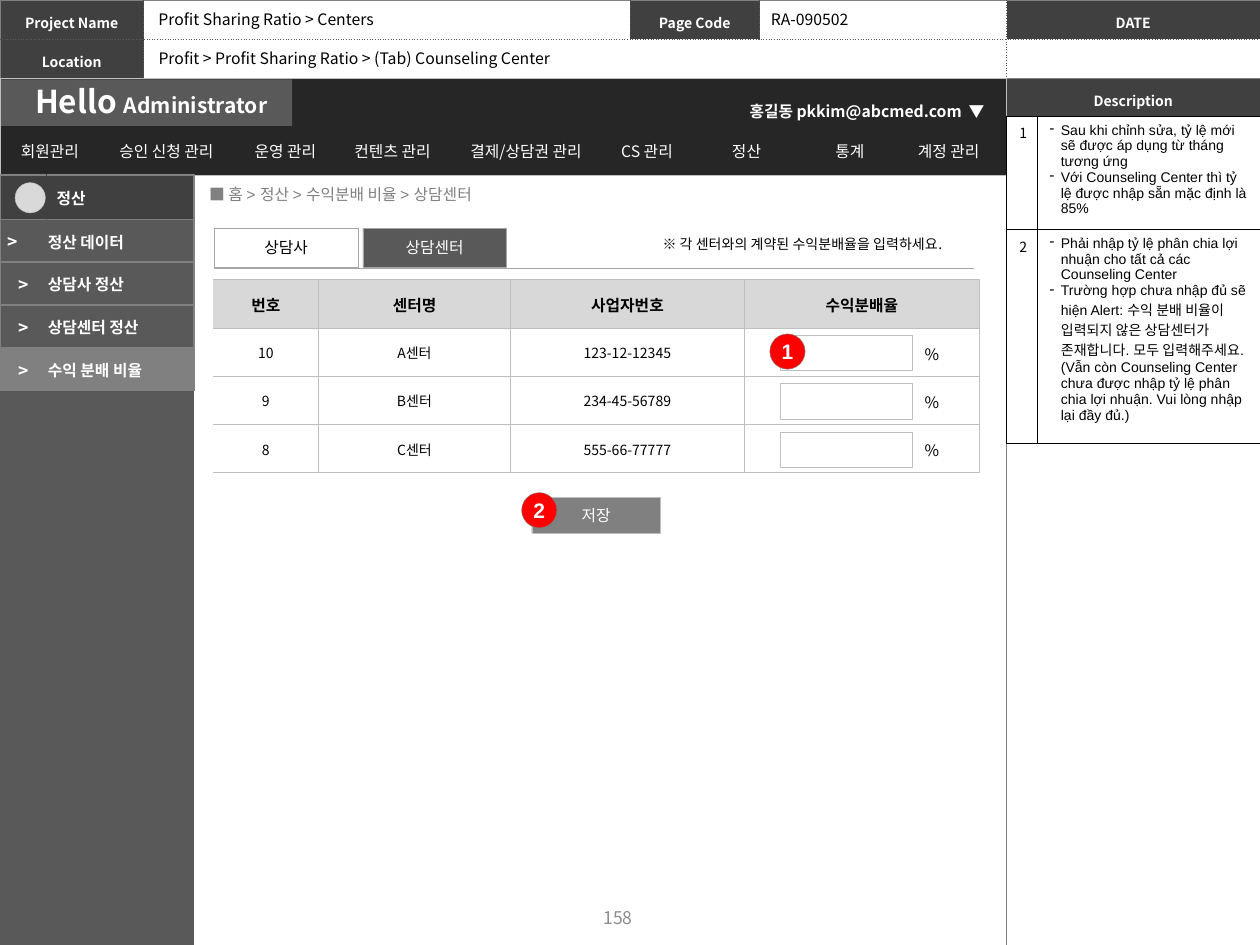
"""Builds a wireframe slide for the profit sharing ratio page of counseling centers."""
import pptx
import pptx.util
import pptx.dml.color
import pptx.enum.shapes
import pptx.enum.text
import pptx.oxml
import pptx.oxml.ns
from lxml import etree

COLORS = dict(white="FFFFFF", black="000000", ink="262626", dark="404040", slate="595959",
              gray="808080", page="8C8C8C", edge="A6A6A6", rule="BFBFBF", head="D8D8D8",
              dot="D9D9D9", red="FF0000")
KOREAN, LATIN = "Noto Sans CJK KR", "Arial"
WIDTH, HEIGHT = 10, 7.5
COLUMNS = 1000
SPLIT, SIDEBAR = 799, 154

HEADER = [["Project Name", "", "Page Code", "", "DATE"], ["Location", "", "", "", ""]]
HEADER_COLUMNS = [114, 386, 103, 196, 201]
HEADER_VALUES = [("Profit Sharing Ratio > Centers", 116, 3, 193),
                 ("RA-090502", 602, 3, 83),
                 ("Profit > Profit Sharing Ratio > (Tab) Counseling Center", 116, 34, 339)]
MENU = ["회원관리", "승인 신청 관리", "운영 관리", "컨텐츠 관리", "결제/상담권 관리",
        "CS 관리", "정산", "통계", "계정 관리"]
MENU_COLUMNS = [75, 110, 79, 91, 121, 71, 87, 77, 80]
SIDE_MENU = [["", "정산"], [">", "정산 데이터"], [">", "상담사 정산"],
             [">", "상담센터 정산"], [">", "수익 분배 비율"]]
TABS = [("상담사", "white", "black"), ("상담센터", "slate", "white")]
CENTERS = [["번호", "센터명", "사업자번호", "수익분배율"],
           ["10", "A센터", "123-12-12345", ""],
           ["9", "B센터", "234-45-56789", ""],
           ["8", "C센터", "555-66-77777", ""]]
CENTER_COLUMNS = [84, 152, 186, 186]
CENTER_TOP, CENTER_ROW = 222, 38.25
NOTES = [["1", ["Sau khi chỉnh sửa, tỷ lệ mới sẽ được áp dụng từ tháng tương ứng",
                "Với Counseling Center thì tỷ lệ được nhập sẵn mặc định là 85%"]],
         ["2", ["Phải nhập tỷ lệ phân chia lợi nhuận cho tất cả các Counseling Center",
                "Trường hợp chưa nhập đủ sẽ hiện Alert: 수익 분배 비율이 입력되지 않은 상담센터가 "
                "존재합니다. 모두 입력해주세요. (Vẫn còn Counseling Center chưa được nhập tỷ lệ "
                "phân chia lợi nhuận. Vui lòng nhập lại đầy đủ.)"]]]
BADGES = [("1", 611, 265), ("2", 414, 391)]

ALIGN = pptx.enum.text.PP_ALIGN
ANCHOR = pptx.enum.text.MSO_ANCHOR
SHAPE = pptx.enum.shapes.MSO_SHAPE
Pt = pptx.util.Pt
qn = pptx.oxml.ns.qn


def grid(*cells):
    return [pptx.util.Inches(round(cell * WIDTH / COLUMNS, 4)) for cell in cells]


def rgb(name):
    return pptx.dml.color.RGBColor.from_string(COLORS[name])


def write(frame, text, size=9, color="black", font=KOREAN, bold=False, align=ALIGN.LEFT,
          spacing=None, bullet=None):
    """Fills a frame with paragraphs; a paragraph is a string or (text, size) runs."""
    for index, content in enumerate(text if isinstance(text, list) else [text]):
        paragraph = frame.paragraphs[0] if index == 0 else frame.add_paragraph()
        paragraph.alignment = align
        if spacing:
            paragraph.line_spacing = spacing
        if bullet:
            properties = paragraph._p.get_or_add_pPr()
            indent = grid(9)[0]
            properties.set("marL", str(indent))
            properties.set("indent", str(-indent))
            etree.SubElement(properties, qn("a:buChar")).set("char", bullet)
        if not content:
            etree.SubElement(paragraph._p, qn("a:endParaRPr")).set("sz", str(size * 100))
            continue
        for words, run_size in [(content, size)] if isinstance(content, str) else content:
            run = paragraph.add_run()
            run.text = words
            run.font.size, run.font.bold, run.font.name = Pt(run_size), bold, font
            run.font.color.rgb = rgb(color)
            etree.SubElement(run._r.get_or_add_rPr(), qn("a:ea")).set("typeface", KOREAN)


def add_label(slide, text, box, anchor=ANCHOR.TOP, wrap=False, grow=True, indent=10, **style):
    frame = slide.shapes.add_textbox(*grid(*box)).text_frame
    frame.word_wrap, frame.vertical_anchor = wrap, anchor
    frame.margin_left = grid(indent)[0]
    if grow:
        frame.auto_size = pptx.enum.text.MSO_AUTO_SIZE.SHAPE_TO_FIT_TEXT
    write(frame, text, **style)


def add_block(slide, box, fill, line=None, text="", kind=SHAPE.RECTANGLE, **style):
    block = slide.shapes.add_shape(kind, *grid(*box))
    block.shadow.inherit = False
    block.fill.solid()
    block.fill.fore_color.rgb = rgb(fill)
    if line:
        block.line.color.rgb, block.line.width = rgb(line), Pt(0.25)
    else:
        block.line.fill.background()
    if text:
        block.text_frame.word_wrap = False
        block.text_frame.vertical_anchor = ANCHOR.MIDDLE
        write(block.text_frame, text, align=ALIGN.CENTER, **style)


def set_border(cell, edges):
    """Draws the left, right, top and bottom edges as (color, width, dash) or None."""
    for index, (side, edge) in enumerate(zip("LRTB", edges)):
        line = etree.Element(qn("a:ln" + side))
        if edge:
            color, width, dash = edge
            line.set("w", str(Pt(width)))
            fill = etree.SubElement(line, qn("a:solidFill"))
            etree.SubElement(fill, qn("a:srgbClr")).set("val", COLORS[color])
            etree.SubElement(line, qn("a:prstDash")).set("val", dash)
        else:
            etree.SubElement(line, qn("a:noFill"))
        cell._tc.get_or_add_tcPr().insert(index, line)


def add_grid(slide, left, top, columns, heights, rows, look, margins=(10, 10, 5, 5)):
    """Adds a table; look(row, column) gives fill, edges, anchor and text style."""
    table = slide.shapes.add_table(len(rows), len(columns), *grid(
        left, top, sum(columns), sum(heights))).table
    table.first_row = table.horz_banding = False
    for column, width in zip(table.columns, grid(*columns)):
        column.width = width
    for row, height in zip(table.rows, grid(*heights)):
        row.height = height
    for r, texts in enumerate(rows):
        for c, text in enumerate(texts):
            cell = table.cell(r, c)
            fill, edges, anchor, style = look(r, c)
            (cell.margin_left, cell.margin_right,
             cell.margin_top, cell.margin_bottom) = grid(*margins)
            cell.vertical_anchor = anchor
            if fill:
                cell.fill.solid()
                cell.fill.fore_color.rgb = rgb(fill)
            else:
                cell.fill.background()
            set_border(cell, edges)
            write(cell.text_frame, text, **style)
    return table


HEADING = dict(size=8, color="white", bold=True, align=ALIGN.CENTER, spacing=1.3)
SOLID, DOTTED = ("gray", 0.5, "solid"), ("slate", 0.5, "sysDot")


def header_look(r, c):
    edges = [SOLID if outer else DOTTED for outer in (c == 0, c == 4, r == 0, r == 1)]
    return "dark" if HEADER[r][c] else None, edges, ANCHOR.MIDDLE, HEADING


def description_look(r, c):
    edges = [SOLID, SOLID, DOTTED if r else SOLID, SOLID if r else DOTTED]
    return None if r else "dark", edges, ANCHOR.MIDDLE, HEADING


def menu_look(r, c):
    return None, [("ink", 1, "solid")] * 4, ANCHOR.MIDDLE, dict(color="white", align=ALIGN.CENTER)


def center_look(r, c):
    edge = ("rule", 0.5, "solid")
    style = dict(size=8 if r else 9, bold=r == 0, align=ALIGN.CENTER)
    return "white" if r else "head", [edge if c else None] + [edge] * 3, ANCHOR.MIDDLE, style


def side_look(r, c):
    fill = "dark" if r == 0 else "gray" if r == len(SIDE_MENU) - 1 else "slate"
    edge, seam = ("gray", 1, "solid"), (fill, 1, "solid")
    style = dict(size=9 if c else 10, color="white", bold=True,
                 align=ALIGN.LEFT if c else ALIGN.CENTER)
    return fill, [seam if c else edge, edge if c else seam, edge, edge], ANCHOR.MIDDLE, style


def note_look(r, c):
    style = dict(size=8, font=LATIN, bullet="-") if c else dict(size=8)
    return "white", [("black", 0.5, "solid")] * 4, ANCHOR.TOP, style


def main():
    deck = pptx.Presentation()
    deck.slide_width, deck.slide_height = pptx.util.Inches(WIDTH), pptx.util.Inches(HEIGHT)
    slide = deck.slides.add_slide(deck.slide_layouts[6])

    header = add_grid(slide, 0, 0, HEADER_COLUMNS, [31, 31], HEADER, header_look, (4, 4, 4, 4))
    header.cell(1, 1).merge(header.cell(1, 3))
    add_grid(slide, SPLIT, 62, [201], [31, 657], [["Description"], [""]], description_look,
             (8, 8, 4, 4))
    add_block(slide, (0, 62, SPLIT, 77), "ink", "rule")
    add_block(slide, (1, 63, 231, 37), "slate")
    add_label(slide, [[("Hello ", 18), ("Administrator", 12)]], (18, 60, 209, 40),
              color="white", bold=True)
    add_grid(slide, 2, 104, MENU_COLUMNS, [31], [MENU], menu_look)
    account = dict(color="white", bold=True, spacing=1.2)
    add_label(slide, "홍길동 pkkim@abcmed.com", (582, 73, 194, 26), wrap=True,
              align=ALIGN.CENTER, **account)
    add_label(slide, "▼", (759, 73, 33, 26), **account)

    add_label(slide, "■ 홈 > 정산 > 수익분배 비율 > 상담센터", (146, 137, 622, 34), ANCHOR.MIDDLE,
              wrap=True, grow=False, indent=20, font=LATIN, color="gray")
    for index, (name, fill, color) in enumerate(TABS):
        add_block(slide, (170 + index * 118, 181, 114, 31), fill, "edge", name, color=color)
    left, right, level = grid(170, 773, 213)
    underline = slide.shapes.add_connector(
        pptx.enum.shapes.MSO_CONNECTOR.STRAIGHT, left, level, right, level)
    underline.line.color.rgb, underline.line.width = rgb("edge"), Pt(0.75)
    etree.SubElement(underline._element.spPr, qn("a:effectLst"))

    add_grid(slide, 169, CENTER_TOP, CENTER_COLUMNS, [CENTER_ROW] * len(CENTERS), CENTERS,
             center_look, (1, 1, 1, 0))
    for row in range(1, len(CENTERS)):
        top = CENTER_TOP + row * CENTER_ROW
        add_block(slide, (619, top + 6, 105, 28), "white", "rule")
        add_label(slide, "%", (724, top + 8.5, 31, 25))
    add_block(slide, (422, 395, 102, 28), "gray", "rule", "저장", color="white")
    for text, left, top, width in HEADER_VALUES:
        add_label(slide, text, (left, top, width, 25))
    add_label(slide, "※ 각 센터와의 계약된 수익분배율을 입력하세요.", (516, 182, 269, 24), size=8)
    for number, left, top in BADGES:
        add_block(slide, (left, top, 28, 28), "red", "gray", number, SHAPE.OVAL,
                  size=12, color="white", font=LATIN, bold=True)

    add_block(slide, (0, 138, SIDEBAR, 612), "slate")
    side = add_grid(slide, 0, 139, [37, SIDEBAR - 37], [35] + [34] * 4, SIDE_MENU, side_look,
                    (1, 1, 1, 0))
    side.cell(0, 1).margin_left = grid(8)[0]
    side.cell(1, 0).margin_right = grid(18)[0]
    add_block(slide, (12, 145, 24, 24), "dot", "rule", kind=SHAPE.OVAL)
    add_grid(slide, SPLIT, 92, [23, 177], [90, 170], NOTES, note_look)
    add_label(slide, "158", (374, 708, 233, 40), ANCHOR.MIDDLE, wrap=True, grow=False,
              size=10, color="page", align=ALIGN.CENTER)
    deck.save("out.pptx")


if __name__ == "__main__":
    main()
